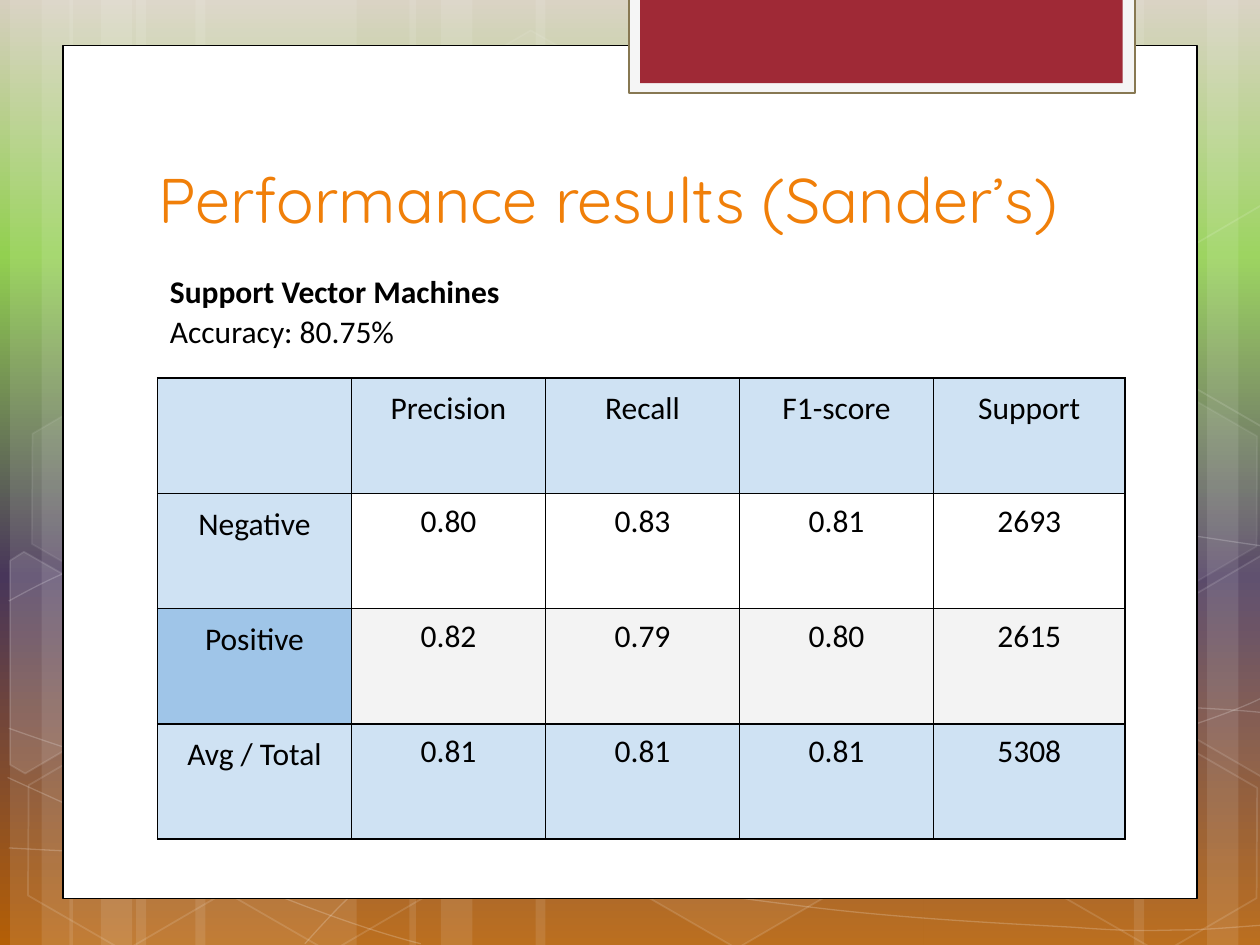
"""Build a slide with a table of classifier scores on a striped gradient."""
from dataclasses import dataclass

from lxml import etree
from pptx import Presentation
from pptx.dml.color import RGBColor
from pptx.enum.shapes import MSO_SHAPE
from pptx.enum.text import MSO_ANCHOR, PP_ALIGN
from pptx.oxml.ns import qn
from pptx.util import Inches, Pt

RECT, HEX = MSO_SHAPE.RECTANGLE, MSO_SHAPE.HEXAGON
MIDDLE, BOTTOM = MSO_ANCHOR.MIDDLE, MSO_ANCHOR.BOTTOM
CENTER = PP_ALIGN.CENTER


@dataclass(frozen=True)
class Theme:
    white: str = "FFFFFF"
    black: str = "000000"
    frame: str = "F5F5F5"
    edge: str = "877852"
    red: str = "9F2936"
    orange: str = "F07F09"
    pale: str = "CFE2F3"
    blue: str = "9FC5E8"
    gray: str = "F3F3F3"
    sky: tuple = ((0, "D6CFBE"), (27, "92D050"), (61, "48365A"), (100, "B45F06"))
    head: str = "Quicksand"
    body: str = "Calibri"
    big: int = 36
    base: int = 18


T = Theme()


def paint(shape, fill=None, line=None, width=1, clear=100, faint=100):
    shape.shadow.inherit = False
    for form, color in ((shape.fill, fill), (shape.line.fill, line)):
        if color:
            form.solid()
            form.fore_color.rgb = RGBColor.from_string(color)
        else:
            form.background()
    if line:
        shape.line.width = Pt(width)
    for start, alpha in (("", clear), (f"{qn('a:ln')}/", faint)):
        tint = shape.element.spPr.find(f"{start}{qn('a:solidFill')}/{qn('a:srgbClr')}")
        if tint is not None and alpha < 100:
            etree.SubElement(tint, qn("a:alpha"), val=str(alpha * 1000))


def write(para, text, size=T.base, font=T.body, color=T.black, bold=False):
    run = para.add_run()
    run.text = text
    run.font.size, run.font.name, run.font.bold = Pt(size), font, bold
    run.font.color.rgb = RGBColor.from_string(color)


deck = Presentation()
deck.slide_width, deck.slide_height = Inches(10), Inches(7.5)
slide = deck.slides.add_slide(deck.slide_layouts[6])
shapes = slide.shapes

back = slide.background.fill
back.gradient()
back.gradient_angle = 270
stops = slide.element.find(f".//{qn('a:gsLst')}")
for stop in list(stops):
    stops.remove(stop)
for place, color in T.sky:
    stop = etree.SubElement(stops, qn("a:gs"), pos=str(place * 1000))
    etree.SubElement(stop, qn("a:srgbClr"), val=color)

bars = [(1.08, 1.75), (0.08, 0.5), (0.33, 0.83), (1.55, 1.75), (0.55, 0.5),
        (0.8, 0.83), (7.33, 1.75), (9.58, 0.5), (9, 0.83), (4.25, 3.08),
        (3.25, 0.5), (3.5, 0.83)]
for left, width in bars:
    bar = shapes.add_shape(RECT, Inches(left), 0, Inches(width), Inches(7.5))
    paint(bar, T.white, clear=10)

curves = [
    [(0.07, 6.73), (0.61, 6.76), (1.15, 6.79), (1.9, 6.78), (2.65, 6.77),
     (3.58, 6.75), (4.58, 6.65), (5.58, 6.55), (7, 6.36), (7.92, 6.17),
     (8.83, 5.98), (9.77, 5.68), (10.07, 5.51)],
    [(0.07, 4.77), (0.36, 4.61), (0.65, 4.46), (1.21, 4.31), (1.78, 4.16),
     (2.59, 3.94), (3.47, 3.87), (4.36, 3.8), (5.44, 3.79), (6.54, 3.87),
     (7.64, 3.95), (9.47, 4.26), (10.07, 4.34)],
    [(0.06, 6.17), (1.27, 6.72), (2.47, 7.27), (3.34, 7.49)],
    [(0.07, 5.78), (0.38, 5.89), (0.7, 6), (1.28, 6.16), (1.86, 6.31),
     (2.73, 6.56), (3.57, 6.73), (4.4, 6.9), (5.45, 7.08), (6.28, 7.18),
     (7.11, 7.29), (8, 7.33), (8.53, 7.36), (9.05, 7.4), (9.19, 7.38),
     (9.45, 7.38), (9.71, 7.37), (9.89, 7.35), (10.07, 7.34)],
    [(2.42, 7.49), (2.6, 7.29), (2.78, 7.09), (3.02, 6.91), (3.26, 6.73),
     (3.6, 6.53), (3.88, 6.39), (4.16, 6.25), (4.33, 6.19), (4.7, 6.09),
     (5.06, 5.99), (5.73, 5.85), (6.08, 5.78), (6.44, 5.71), (6.49, 5.71),
     (6.8, 5.69), (7.11, 5.66), (7.6, 5.63), (7.94, 5.62), (8.29, 5.61),
     (8.86, 5.62), (8.86, 5.62), (9.08, 5.62), (9.31, 5.62), (9.53, 5.62),
     (9.71, 5.63), (9.88, 5.64), (10.06, 5.66)],
]
for knots in curves:
    dots = [(Inches(x), Inches(y)) for x, y in knots]
    pen = shapes.build_freeform(*dots[0])
    pen.add_line_segments(dots[1:], close=False)
    curve = pen.convert_to_shape()
    paint(curve, None, T.white, 0.75, faint=20)
    track = curve.element.find(f".//{qn('a:path')}")
    legs = track.findall(qn("a:lnTo"))
    for first in range(0, len(legs), 3):
        bend = etree.SubElement(track, qn("a:cubicBezTo"))
        for leg in legs[first:first + 3]:
            bend.append(leg[0])
            track.remove(leg)

cells = [(3.34, 0.36, 4, 8), (4.97, 5.89, 6, 12), (0.11, 5.91, 0, 12),
         (0.14, 3.12, 7, 8), (1.74, 5.92, 0, 12), (8.34, 5.93, 0, 12),
         (8.34, 3.14, 7, 8)]
for left, top, clear, faint in cells:
    cell = shapes.add_shape(HEX, Inches(left), Inches(top), Inches(1.75), Inches(1.52))
    cell.adjustments[0] = 0.285
    cell.rotation = 30
    paint(cell, T.white if clear else None, T.white, 1, clear, faint)

chips = [
    (10, [(0.08, 4.45), (0.19, 4.38), (0.96, 4.82), (0.95, 5.7), (0.2, 6.14), (0.08, 6.07)]),
    (4, [(9.26, 4.85), (10.01, 4.41), (10.09, 4.46), (10.09, 6.13), (10.02, 6.17), (9.26, 5.73)]),
    (0, [(9.26, 2.07), (10.01, 1.63), (10.1, 1.68), (10.09, 3.35), (10.02, 3.39), (9.26, 2.95)]),
]
for clear, knots in chips:
    dots = [(Inches(x), Inches(y)) for x, y in knots]
    pen = shapes.build_freeform(*dots[0])
    pen.add_line_segments(dots[1:], close=True)
    paint(pen.convert_to_shape(), T.white if clear else None, T.white, 1, clear, 12)

for box, fill, line, width in [
    ((0.5, 0.36, 9, 6.77), T.white, T.black, 0.75),
    ((4.99, -0.02, 4.02, 0.76), T.frame, T.edge, 1.25),
    ((5.08, -0.02, 3.83, 0.68), T.red, None, 0),
]:
    paint(shapes.add_shape(RECT, *map(Inches, box)), fill, line, width)

title = shapes.add_textbox(Inches(1.16), Inches(0.67), Inches(7.68), Inches(1.25)).text_frame
title.word_wrap = True
title.vertical_anchor = BOTTOM
write(title.paragraphs[0], "Performance results (Sander’s)", T.big, T.head, T.orange)

note = shapes.add_textbox(Inches(1.25), Inches(1.91), Inches(3.28), Inches(1.09)).text_frame
note.word_wrap = True
note.vertical_anchor = MIDDLE
note.margin_top = note.margin_bottom = Inches(0.1)
lines = [("Support Vector Machines", True, 0), ("Accuracy: 80.75%", False, 8)]
for row, (text, bold, after) in enumerate(lines):
    para = note.add_paragraph() if row else note.paragraphs[0]
    para.line_spacing, para.space_after = 1.08, Pt(after)
    write(para, text, bold=bold)

scores = [
    ("", "Precision", "Recall", "F1-score", "Support"),
    ("Negative", "0.80", "0.83", "0.81", "2693"),
    ("Positive", "0.82", "0.79", "0.80", "2615"),
    ("Avg / Total", "0.81", "0.81", "0.81", "5308"),
]
fills = [(T.pale, T.pale), (T.pale, None), (T.blue, T.gray), (T.pale, T.pale)]
widths = [1.54] * 4 + [1.52]
tall = Inches(3.66)
grid = shapes.add_table(4, 5, Inches(1.25), Inches(3), Inches(sum(widths)), tall).table
grid.first_row = grid.horz_banding = False
for column, width in zip(grid.columns, widths):
    column.width = Inches(width)
for row, texts in enumerate(scores):
    grid.rows[row].height = tall // len(scores)
    for col, text in enumerate(texts):
        cell = grid.cell(row, col)
        cell.margin_left = cell.margin_right = Inches(0.07)
        cell.margin_top = cell.margin_bottom = Inches(0.07)
        props = cell._tc.get_or_add_tcPr()
        for side in ("a:lnL", "a:lnR", "a:lnT", "a:lnB"):
            rule = etree.SubElement(props, qn(side), w=str(Pt(1)))
            solid = etree.SubElement(rule, qn("a:solidFill"))
            etree.SubElement(solid, qn("a:srgbClr"), val=T.black)
        color = fills[row][min(col, 1)]
        if color:
            cell.fill.solid()
            cell.fill.fore_color.rgb = RGBColor.from_string(color)
        else:
            cell.fill.background()
        para = cell.text_frame.paragraphs[0]
        para.alignment = CENTER
        if row == 0 or col == 0:
            para.line_spacing, para.space_after = 1.08, Pt(8)
        if text:
            write(para, text)

deck.save("out.pptx")
